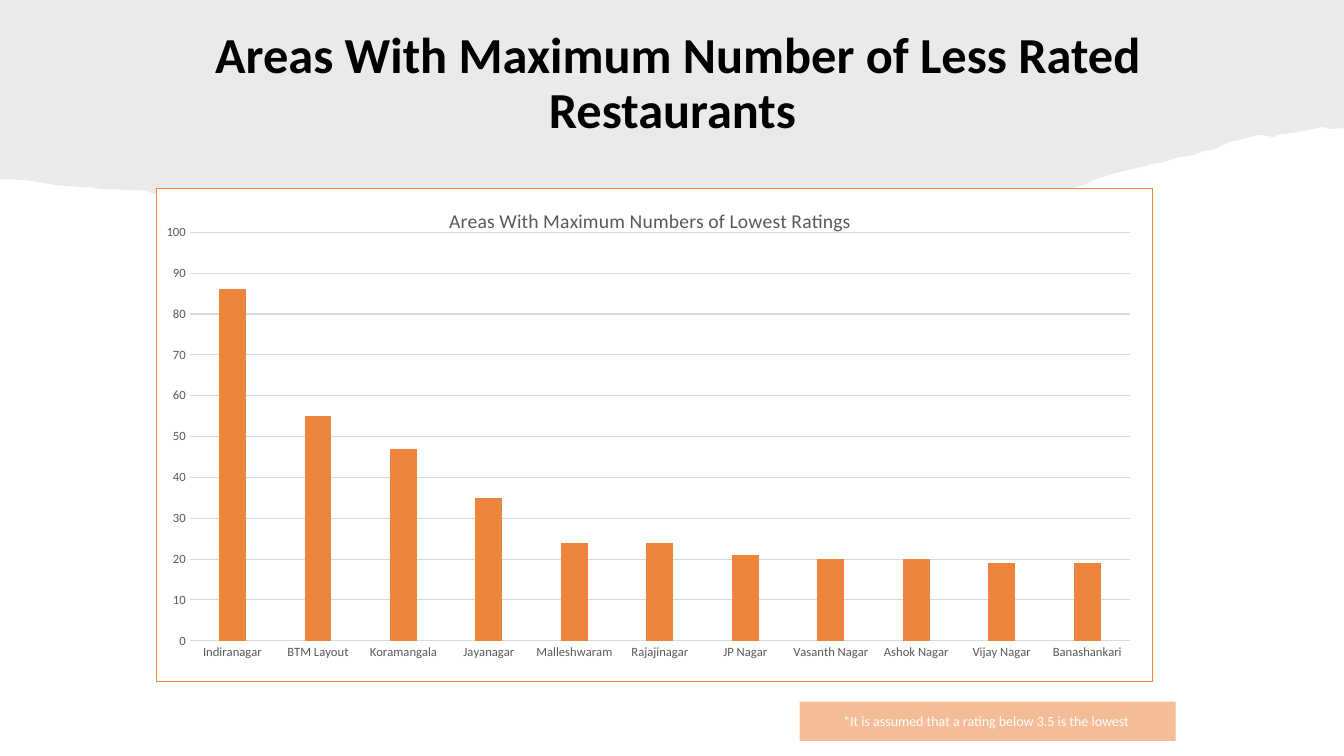
from lxml.etree import SubElement
from pptx import Presentation
from pptx.chart.data import CategoryChartData
from pptx.dml.color import RGBColor
from pptx.enum.chart import XL_CHART_TYPE, XL_TICK_MARK
from pptx.enum.shapes import MSO_SHAPE
from pptx.enum.text import MSO_ANCHOR, MSO_AUTO_SIZE, PP_ALIGN
from pptx.oxml import parse_xml
from pptx.oxml.ns import nsdecls, qn
from pptx.util import Inches, Pt

# Slide, palette and type
WIDTH, HEIGHT = Inches(13.33), Inches(7.5)
FONT = "Calibri"
BLACK, WHITE, GREY, RULE = "000000", "FFFFFF", "595959", "D9D9D9"
COLUMN_ORANGE, NOTE_ORANGE, PAPER = "EE853E", "ED7D31", "82766A"
HAIRLINE = Pt(0.75)

# Places as left, top, width, height in percent of the slide
TITLE_PLACE = (6.83, 7.2, 86.42, 11.87)
CHART_PLACE = (11.63, 24.93, 74.19, 65.33)
NOTE_PLACE = (59.49, 92.8, 27.98, 5.2)

# Places inside the chart as shares of the chart's size
HEADING_PLACE = {"x": 0.29, "y": 0.03}
PLOT_PLACE = {"x": 0.033, "y": 0.088, "w": 0.944, "h": 0.829}

# Torn edge of the paper, right to left, in hundredths of an inch
HUNDREDTH = Inches(1) / 100
RIGHT_TEAR = [
    (1333, 127), (1320, 128), (1312, 126), (1298, 129), (1282, 132), (1270, 133),
    (1263, 136), (1252, 134), (1247, 134), (1229, 139), (1218, 141), (1205, 148),
    (1193, 150), (1184, 154), (1169, 156), (1162, 158), (1157, 160), (1150, 162),
    (1148, 161), (1145, 163), (1143, 162), (1136, 165), (1130, 166), (1105, 172),
    (1084, 179), (1076, 183), (1069, 185), (1065, 186), (1061, 189), (1053, 190),
]
MIDDLE_TEAR = [
    (1031, 193), (995, 198), (944, 203), (899, 206), (882, 210), (844, 214),
    (782, 214), (735, 219), (707, 223), (665, 228), (636, 227), (610, 221),
    (584, 223), (550, 222), (500, 220), (464, 215), (412, 209), (386, 206),
    (354, 203), (311, 209), (281, 212), (238, 211), (205, 206), (185, 199),
]
LEFT_TEAR = [
    (164, 197), (152, 192), (144, 189), (136, 189), (120, 188), (105, 188),
    (96, 187), (92, 186), (81, 186), (74, 185), (58, 184), (46, 182),
    (39, 181), (28, 179), (16, 178), (3, 178), (0, 177),
]

LOW_RATINGS = {
    "Indiranagar": 86, "BTM Layout": 55, "Koramangala": 47, "Jayanagar": 35,
    "Malleshwaram": 24, "Rajajinagar": 24, "JP Nagar": 21, "Vasanth Nagar": 20,
    "Ashok Nagar": 20, "Vijay Nagar": 19, "Banashankari": 19,
}


# Shared helpers
def color(hex_code):
    return RGBColor.from_string(hex_code)


def share(place):
    """Turn percentages of the slide into lengths."""
    return [round(part * side / 100) for part, side in zip(place, (WIDTH, HEIGHT) * 2)]


def style_font(font, size, hex_code, bold=False):
    font.name, font.size, font.bold = FONT, Pt(size), bold
    font.color.rgb = color(hex_code)


def write(frame, text, size, hex_code, bold=False, anchor=MSO_ANCHOR.MIDDLE, spacing=1.0):
    frame.word_wrap = True
    frame.auto_size = MSO_AUTO_SIZE.NONE
    frame.vertical_anchor = anchor
    para = frame.paragraphs[0]
    para.alignment = PP_ALIGN.CENTER
    para.line_spacing = spacing
    span = para.add_run()
    span.text = text
    style_font(span.font, size, hex_code, bold)


def paint(shape, hex_code, opacity):
    """Fill a shape with a see-through colour; opacity is in percent."""
    shape.shadow.inherit = False
    shape.line.fill.background()
    shape.fill.solid()
    shape.fill.fore_color.rgb = color(hex_code)
    tint = shape.element.spPr.find(f"{qn('a:solidFill')}/{qn('a:srgbClr')}")
    SubElement(tint, qn("a:alpha")).set("val", str(opacity * 1000))


# Slide parts
def add_torn_paper(page):
    tear = RIGHT_TEAR + MIDDLE_TEAR + LEFT_TEAR
    right_edge = tear[0][0]
    builder = page.shapes.build_freeform(0, 0, scale=HUNDREDTH)
    builder.add_line_segments([(right_edge, 0), *tear], close=True)
    paper = builder.convert_to_shape()
    paint(paper, PAPER, opacity=15)
    page.shapes.title.element.addprevious(paper.element)  # behind the title


def set_title(page, text):
    title = page.shapes.title
    title.left, title.top, title.width, title.height = share(TITLE_PLACE)
    write(title.text_frame, text, 36, BLACK, bold=True,
          anchor=MSO_ANCHOR.BOTTOM, spacing=0.9)


def add_note(page, text):
    box = page.shapes.add_shape(MSO_SHAPE.RECTANGLE, *share(NOTE_PLACE))
    paint(box, NOTE_ORANGE, opacity=50)
    write(box.text_frame, text, 10, WHITE)


# Chart parts
def pin(part, position, place):
    """Fix a chart part at its place; the layout is its child at position."""
    for old in part.findall(qn("c:layout")):
        part.remove(old)
    layout = part.makeelement(qn("c:layout"))
    part.insert(position, layout)
    settings = {"xMode": "edge", "yMode": "edge", **place}
    if "w" in place:
        settings = {"layoutTarget": "inner", **settings}
    manual = SubElement(layout, qn("c:manualLayout"))
    for name, value in settings.items():
        SubElement(manual, qn(f"c:{name}")).set("val", str(value))


def style_rule(line):
    line.color.rgb = color(RULE)
    line.width = HAIRLINE


def set_heading(chart, text):
    chart.has_title = True
    span = chart.chart_title.text_frame.paragraphs[0].add_run()
    span.text = text
    style_font(span.font, 14, GREY)
    pin(chart.chart_title.element if hasattr(chart.chart_title, "element")
        else chart.element.find(f"{qn('c:chart')}/{qn('c:title')}"), 1, HEADING_PLACE)


def style_columns(plot):
    plot.gap_width, plot.overlap, plot.vary_by_categories = 219, -27, False
    fill = plot.series[0].format.fill
    fill.solid()
    fill.fore_color.rgb = color(COLUMN_ORANGE)


def style_axes(areas, counts):
    for axis in (areas, counts):
        axis.major_tick_mark = axis.minor_tick_mark = XL_TICK_MARK.NONE
        style_font(axis.tick_labels.font, 9, GREY)
    counts.minimum_scale, counts.maximum_scale, counts.major_unit = 0, 100, 10
    counts.format.line.fill.background()
    for line in (areas.format.line, counts.major_gridlines.format.line):
        style_rule(line)


def frame_chart(body):
    """Give the chart a white ground and an orange border."""
    body.addnext(parse_xml(
        f'<c:spPr {nsdecls("c", "a")}>'
        f'<a:solidFill><a:srgbClr val="{WHITE}"/></a:solidFill>'
        f'<a:ln w="{HAIRLINE}"><a:solidFill><a:srgbClr val="{COLUMN_ORANGE}"/>'
        '</a:solidFill></a:ln></c:spPr>'))


def add_ratings_chart(page, heading, ratings):
    data = CategoryChartData()
    data.categories = ratings.keys()
    data.add_series("Series 1", ratings.values())
    chart = page.shapes.add_chart(
        XL_CHART_TYPE.COLUMN_CLUSTERED, *share(CHART_PLACE), data).chart
    style_font(chart.font, 10, BLACK)
    chart.has_legend = False
    set_heading(chart, heading)
    style_columns(chart.plots[0])
    style_axes(chart.category_axis, chart.value_axis)
    body = chart.element.find(qn("c:chart"))
    pin(body.find(qn("c:plotArea")), 0, PLOT_PLACE)
    frame_chart(body)


def main():
    deck = Presentation()
    deck.slide_width, deck.slide_height = WIDTH, HEIGHT
    page = deck.slides.add_slide(deck.slide_layouts.get_by_name("Title Only"))
    add_torn_paper(page)
    set_title(page, " Areas With Maximum Number of Less Rated Restaurants")
    add_note(page, "*It is assumed that a rating below 3.5 is the lowest ")
    add_ratings_chart(page, "Areas With Maximum Numbers of Lowest Ratings", LOW_RATINGS)
    deck.save("out.pptx")


if __name__ == "__main__":
    main()
